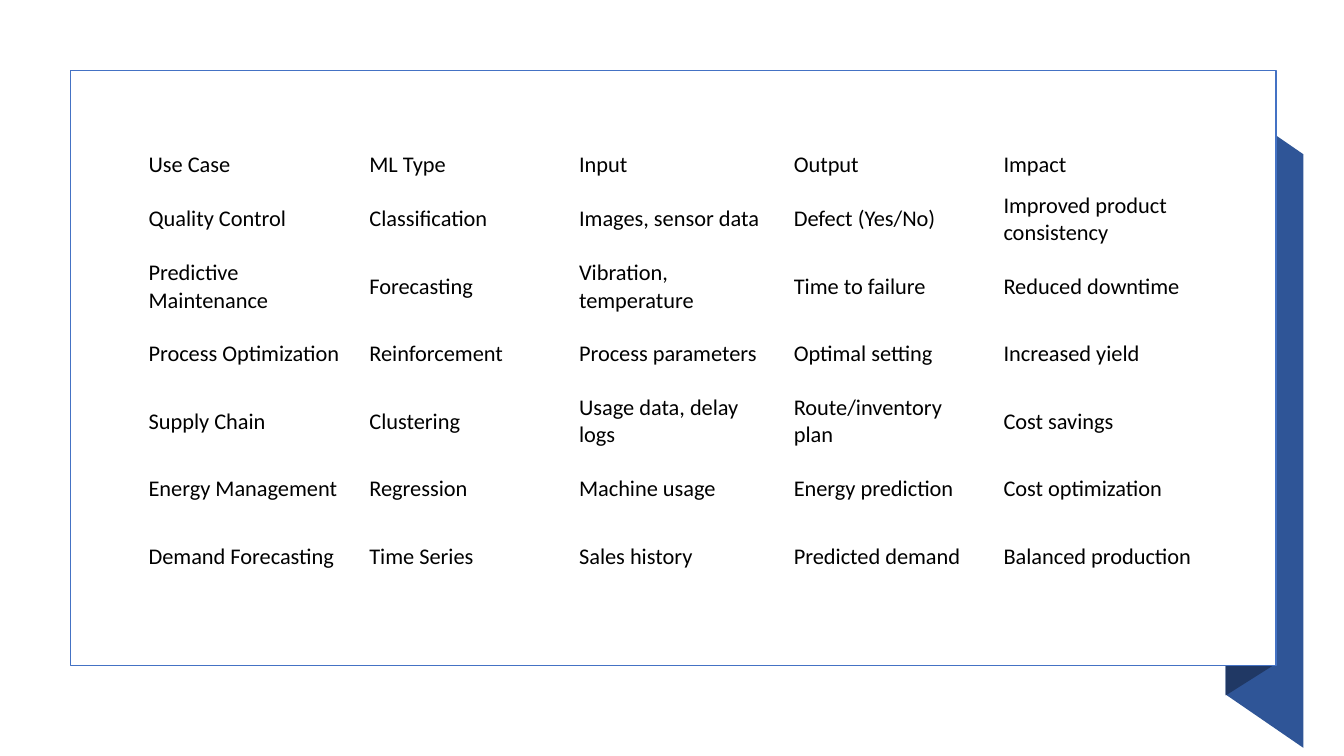
"""Build a slide with a table of machine learning uses on a folded card."""
from pptx import Presentation
from pptx.dml.color import RGBColor
from pptx.enum.shapes import MSO_SHAPE
from pptx.enum.text import MSO_ANCHOR
from pptx.util import Pt

COLORS = {"band": "2F5597", "fold": "203864", "card": "FFFFFF",
          "edge": "4472C4", "text": "000000"}
FONT = {"name": "Calibri", "size": Pt(16), "bold": False}
CELL = {"vertical_anchor": MSO_ANCHOR.MIDDLE,
        "margin_left": Pt(6.75), "margin_right": Pt(6.75),
        "margin_top": Pt(3.4), "margin_bottom": Pt(3.4)}
BANDS = {
    "band": [(931, 534.2), (875.5, 496.1), (875.5, 72), (931, 110.2)],
    "fold": [(908.6, 475.9), (875.5, 496.8), (875.5, 72), (908.6, 50.4)],
}
WIDTHS = [157.7, 149.8, 153.4, 149.8, 150.5]
HEIGHTS = [28.8] + [48.2] * 6
ROWS = [
    ["Use Case", "ML Type", "Input", "Output", "Impact"],
    ["Quality Control", "Classification", "Images, sensor data",
     "Defect (Yes/No)", "Improved product consistency"],
    ["Predictive Maintenance", "Forecasting", "Vibration, temperature",
     "Time to failure", "Reduced downtime"],
    ["Process Optimization", "Reinforcement", "Process parameters",
     "Optimal setting", "Increased yield"],
    ["Supply Chain", "Clustering", "Usage data, delay logs",
     "Route/inventory plan", "Cost savings"],
    ["Energy Management", "Regression", "Machine usage",
     "Energy prediction", "Cost optimization"],
    ["Demand Forecasting", "Time Series", "Sales history",
     "Predicted demand", "Balanced production"],
]


def rgb(key):
    return RGBColor.from_string(COLORS[key])


def paint(shape, key):
    shape.shadow.inherit = False
    shape.fill.solid()
    shape.fill.fore_color.rgb = rgb(key)


deck = Presentation()
deck.slide_width, deck.slide_height = Pt(960), Pt(540)
slide = deck.slides.add_slide(deck.slide_layouts[6])

for key, spots in BANDS.items():
    start, *rest = [(Pt(x), Pt(y)) for x, y in spots]
    pen = slide.shapes.build_freeform(*start)
    pen.add_line_segments(rest, close=True)
    band = pen.convert_to_shape()
    paint(band, key)
    band.line.fill.background()

card = slide.shapes.add_shape(MSO_SHAPE.RECTANGLE, Pt(50.4), Pt(50.4),
                              Pt(861), Pt(424.8))
paint(card, "card")
card.line.color.rgb = rgb("edge")
card.line.width = Pt(1)

table = slide.shapes.add_table(len(ROWS), len(WIDTHS), Pt(99.4), Pt(103.7),
                               Pt(sum(WIDTHS)), Pt(sum(HEIGHTS))).table
table.first_row = table.horz_banding = False
for column, width in zip(table.columns, WIDTHS):
    column.width = Pt(width)
for row, height, words in zip(table.rows, HEIGHTS, ROWS):
    row.height = Pt(height)
    for cell, text in zip(row.cells, words):
        cell.text = text
        cell.fill.background()
        font = cell.text_frame.paragraphs[0].runs[0].font
        font.color.rgb = rgb("text")
        for part, values in ((cell, CELL), (font, FONT)):
            for name, value in values.items():
                setattr(part, name, value)

deck.save("out.pptx")
